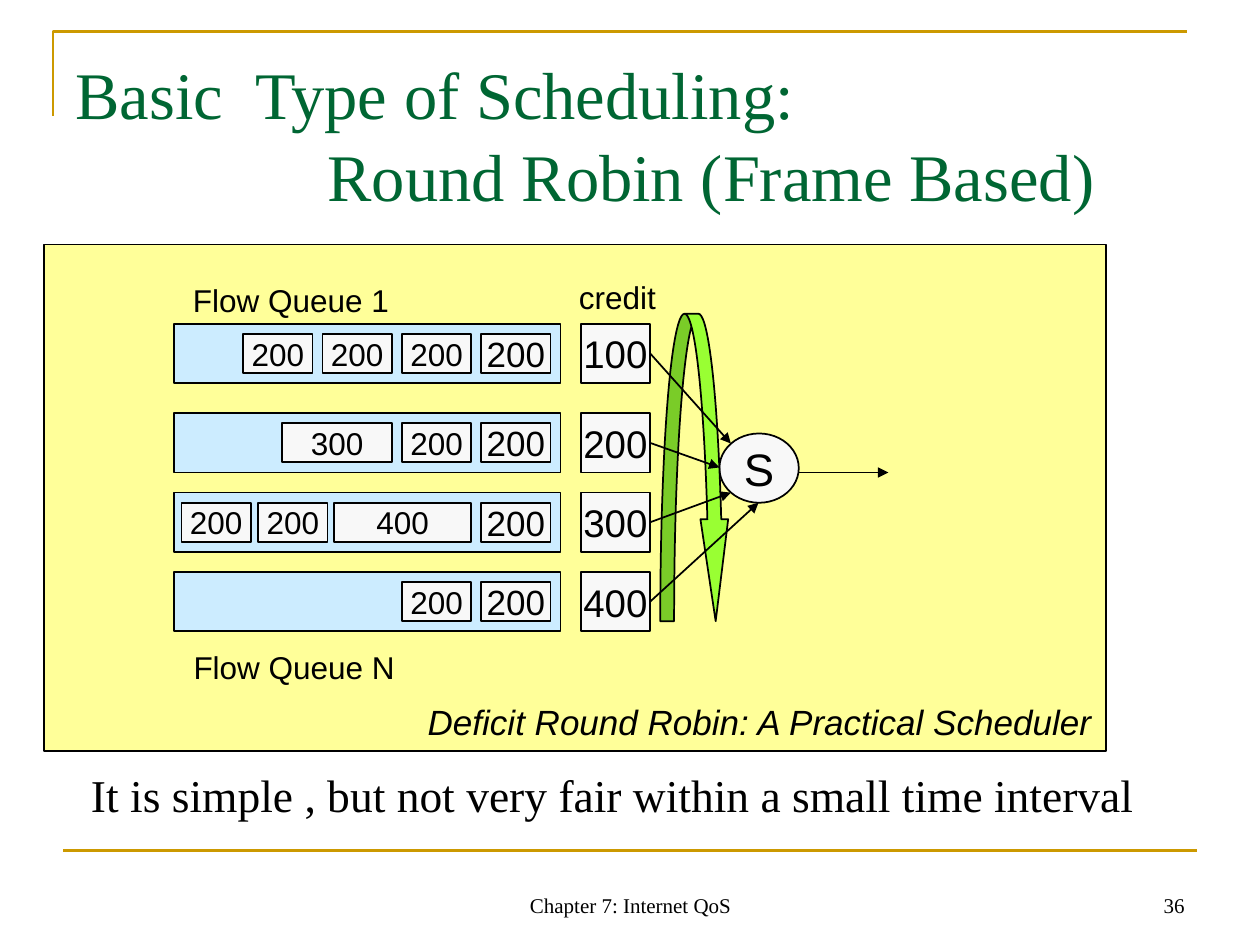
from lxml.etree import SubElement
from pptx import Presentation
from pptx.dml.color import RGBColor
from pptx.enum.shapes import MSO_CONNECTOR as Conn, MSO_SHAPE as Shape
from pptx.enum.text import MSO_ANCHOR as Anchor, MSO_AUTO_SIZE as AutoSize, PP_ALIGN as Align
from pptx.oxml.ns import qn
from pptx.util import Inches, Pt

BLACK = RGBColor(0x00, 0x00, 0x00)
GOLD = RGBColor(0xCC, 0x99, 0x00)
GREEN = RGBColor(0x00, 0x66, 0x33)
YELLOW = RGBColor(0xFF, 0xFF, 0x99)
BLUE = RGBColor(0xCC, 0xEC, 0xFF)
PALE = RGBColor(0xF8, 0xF8, 0xF8)
LIME = RGBColor(0x99, 0xFF, 0x33)

SERIF = "Times New Roman"
SANS = "Arial"
PACKET_W = 0.55
QUEUE_H = 0.47
QUEUES = [
    (2.57, "100", [(3.82, 200), (3.19, 200), (2.56, 200), (1.93, 200)]),
    (3.28, "200", [(3.82, 200), (3.19, 200), (2.24, 300)]),
    (3.91, "300", [(3.82, 200), (2.65, 400), (2.05, 200), (1.44, 200)]),
    (4.54, "400", [(3.82, 200), (3.19, 200)]),
]
PACKET_WIDTHS = {200: PACKET_W, 300: 0.87, 400: 1.09}
SERVER_ENTRIES = [(5.8, 3.52), (5.71, 3.71), (5.8, 3.91), (6.02, 3.99)]


def write(tf, text, size, font=SANS, color=BLACK, align=Align.CENTER,
          anchor=Anchor.TOP, wrap=False, italic=False):
    frame_format = {"word_wrap": wrap, "vertical_anchor": anchor, "auto_size": AutoSize.NONE}
    for name, value in frame_format.items():
        setattr(tf, name, value)
    tf.text = text
    p = tf.paragraphs[0]
    p.alignment = align
    for r in p.runs:
        for name, value in {"name": font, "size": Pt(size), "italic": italic}.items():
            setattr(r.font, name, value)
        r.font.color.rgb = color
    return p


def add_text(s, box, text, size, **kw):
    sp = s.shapes.add_textbox(*map(Inches, box))
    write(sp.text_frame, text, size, **kw)


def add_box(s, box, fill, kind=Shape.RECTANGLE, text="", size=18):
    sp = s.shapes.add_shape(kind, *map(Inches, box))
    sp.shadow.inherit = False
    sp.fill.solid()
    sp.fill.fore_color.rgb = fill
    sp.line.color.rgb = BLACK
    sp.line.width = Pt(1)
    if text:
        write(sp.text_frame, text, size, anchor=Anchor.MIDDLE)
    return sp


def add_line(s, start, end, color=BLACK, width=1, arrow=True, source=None):
    sp = s.shapes.add_connector(Conn.STRAIGHT, *map(Inches, start + end))
    if source is not None:
        sp.begin_connect(source, 3)
    sp.line.color.rgb = color
    sp.line.width = Pt(width)
    if arrow:
        SubElement(sp.line._get_or_add_ln(), qn("a:tailEnd"), type="triangle")
    SubElement(sp._element.spPr, qn("a:effectLst"))


def add_corner(s):
    builder = s.shapes.build_freeform(Inches(0.42), Inches(0.92))
    corner = [(0.42, 0.25), (9.42, 0.25)]
    builder.add_line_segments([(Inches(x), Inches(y)) for x, y in corner], close=False)
    sp = builder.convert_to_shape()
    sp.shadow.inherit = False
    sp.fill.background()
    sp.line.color.rgb = GOLD
    sp.line.width = Pt(1.5)


def add_title(s):
    sp = s.shapes.title
    box = {"left": 0.5, "top": 0.3, "width": 9, "height": 1.25}
    for name, value in box.items():
        setattr(sp, name, Inches(value))
    tf = sp.text_frame
    tf.margin_top = Inches(0.1)
    p = write(tf, "Basic  Type of Scheduling:\v\t\tRound Robin (Frame Based)", 38,
              font=SERIF, color=GREEN, align=Align.LEFT, wrap=True)
    p.line_spacing = 1.03
    tabs = SubElement(p._p.get_or_add_pPr(), qn("a:tabLst"))
    for inch in (1, 2):
        SubElement(tabs, qn("a:tab"), pos=str(Inches(inch)), algn="l")


def add_queue(s, top, credit, packets):
    add_box(s, (1.38, top, 3.07, QUEUE_H), BLUE)
    for i, (left, value) in enumerate(packets):
        add_box(s, (left, top + 0.08, PACKET_WIDTHS[value], 0.31), PALE,
                text=str(value), size=18 if i else 20)
    return add_box(s, (4.61, top, PACKET_W, QUEUE_H), PALE, text=credit, size=22)


def add_scheduler(s):
    add_box(s, (0.35, 1.94, 8.43, 4.02), YELLOW)
    credits = [add_queue(s, *queue) for queue in QUEUES]
    add_text(s, (1.43, 2.18, 1.76, 0.4), "Flow Queue 1", 18)
    add_text(s, (1.43, 5.09, 1.81, 0.4), "Flow Queue N", 18)
    add_text(s, (4.49, 2.16, 0.82, 0.4), "credit", 18)
    add_text(s, (3.28, 5.51, 5.5, 0.44), "Deficit Round Robin: A Practical Scheduler",
             20, italic=True)
    add_box(s, (5.71, 3.44, 0.63, 0.55), PALE, Shape.OVAL, "S", 26)
    add_line(s, (6.34, 3.75), (7.05, 3.75))
    turn = add_box(s, (5.24, 2.49, 0.55, 2.44), LIME, Shape.CURVED_DOWN_ARROW)
    for i, value in enumerate((0.2, 0.4, 1.47)):
        turn.adjustments[i] = value
    for (top, _, _), credit, entry in zip(QUEUES, credits, SERVER_ENTRIES):
        add_line(s, (5.16, top + QUEUE_H / 2), entry, source=credit)


def main():
    prs = Presentation()
    prs.slide_width, prs.slide_height = Inches(10), Inches(7.5)
    s = prs.slides.add_slide(prs.slide_layouts[5])
    add_corner(s)
    add_line(s, (0.5, 6.75), (9.5, 6.75), GOLD, 1.5, arrow=False)
    add_title(s)
    add_scheduler(s)
    add_text(s, (0.62, 6.04, 8.49, 0.54),
             "It is simple , but not very fair within a small time interval", 26, font=SERIF)
    footer = {"font": SERIF, "anchor": Anchor.BOTTOM, "wrap": True}
    add_text(s, (3.42, 6.83, 3.17, 0.5), "Chapter 7: Internet QoS", 12, **footer)
    add_text(s, (7.17, 6.83, 2.33, 0.5), "36", 12, align=Align.RIGHT, **footer)
    prs.save("out.pptx")


if __name__ == "__main__":
    main()
